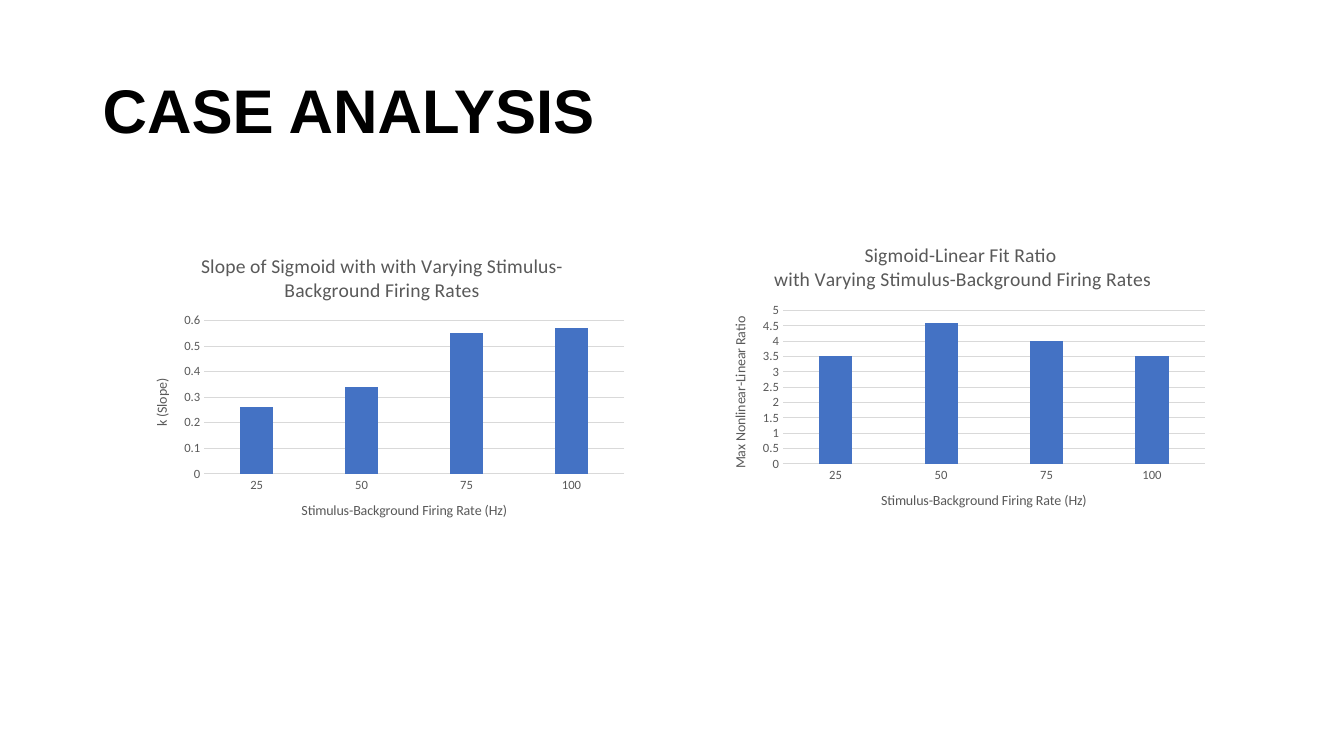
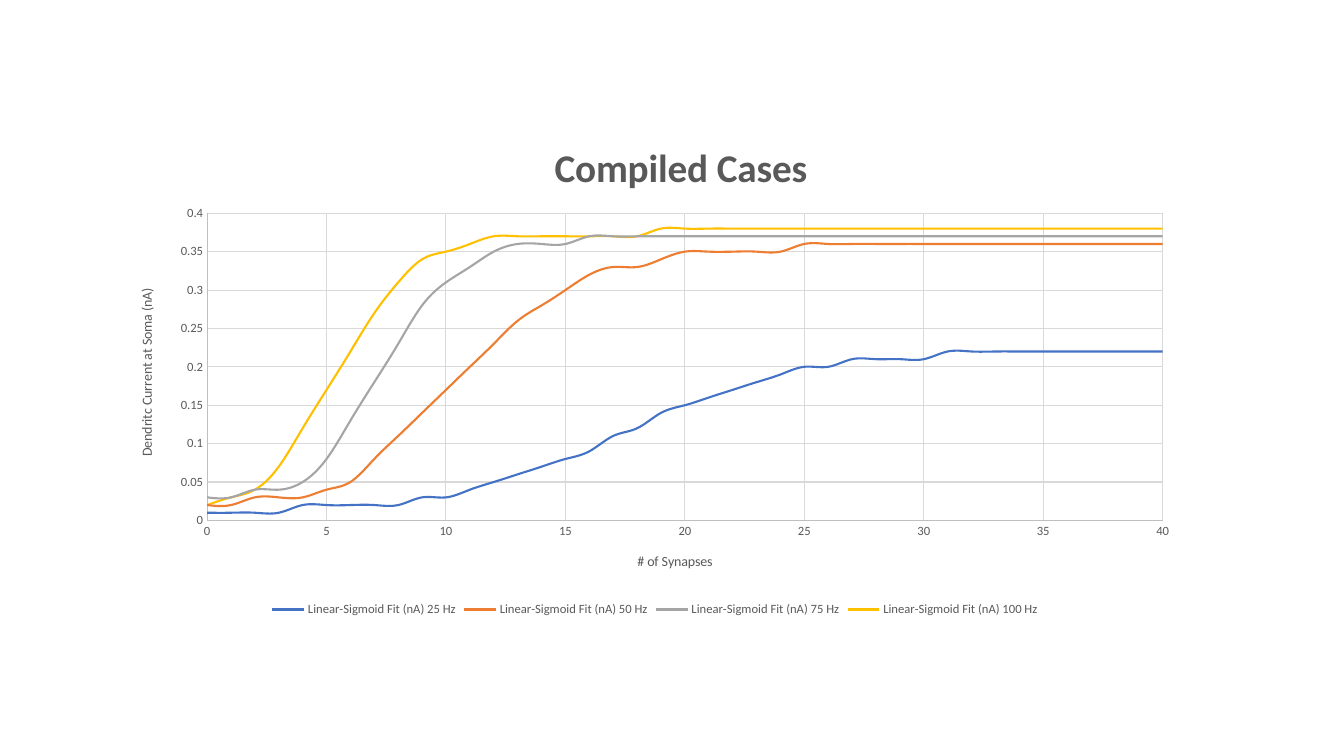
from lxml import etree
from pptx import Presentation
from pptx.chart.data import CategoryChartData, XyChartData
from pptx.dml.color import RGBColor
from pptx.enum.chart import XL_CHART_TYPE, XL_LEGEND_POSITION, XL_TICK_MARK
from pptx.enum.text import MSO_ANCHOR
from pptx.util import Inches, Pt

COLUMN = XL_CHART_TYPE.COLUMN_CLUSTERED
SCATTER = XL_CHART_TYPE.XY_SCATTER_SMOOTH_NO_MARKERS
BOTTOM = XL_LEGEND_POSITION.BOTTOM
NO_TICK = XL_TICK_MARK.NONE
MIDDLE = MSO_ANCHOR.MIDDLE

BLACK, GREY, GRID, AXIS = "000000", "595959", "D9D9D9", "BFBFBF"
BLUE, ORANGE, SILVER, GOLD = "4472C4", "ED7D31", "A5A5A5", "FFC000"
HEAD_FONT, CHART_FONT = "Arial", "Calibri"
C_NS = "http://schemas.openxmlformats.org/drawingml/2006/chart"

RATES = ["25", "50", "75", "100"]
RATE_AXIS = "Stimulus-Background Firing Rate (Hz)"
# left, top, plot left, chart title, value axis title, values, maximum, step
BARS = [
    (1.29, 2.35, 0.147,
     "Slope of Sigmoid with with Varying Stimulus-Background Firing Rates",
     "k (Slope)", [0.26, 0.34, 0.55, 0.57], 0.6, 0.1),
    (7.05, 2.25, 0.143,
     "Sigmoid-Linear Fit Ratio \nwith Varying Stimulus-Background Firing Rates",
     "Max Nonlinear-Linear Ratio", [3.5, 4.6, 4, 3.5], 5, 0.5),
]
COUNT = 41
# rate, colour, currents from 0 synapses on; the last one holds up to the end
FITS = [
    ("25", BLUE,
     [0.01, 0.01, 0.01, 0.01, 0.02, 0.02, 0.02, 0.02, 0.02, 0.03, 0.03,
      0.04, 0.05, 0.06, 0.07, 0.08, 0.09, 0.11, 0.12, 0.14, 0.15, 0.16,
      0.17, 0.18, 0.19, 0.2, 0.2, 0.21, 0.21, 0.21, 0.21, 0.22]),
    ("50", ORANGE,
     [0.02, 0.02, 0.03, 0.03, 0.03, 0.04, 0.05, 0.08, 0.11, 0.14, 0.17,
      0.2, 0.23, 0.26, 0.28, 0.3, 0.32, 0.33, 0.33, 0.34, 0.35, 0.35,
      0.35, 0.35, 0.35, 0.36]),
    ("75", SILVER,
     [0.03, 0.03, 0.04, 0.04, 0.05, 0.08, 0.13, 0.18, 0.23, 0.28, 0.31,
      0.33, 0.35, 0.36, 0.36, 0.36, 0.37]),
    ("100", GOLD,
     [0.02, 0.03, 0.04, 0.07, 0.12, 0.17, 0.22, 0.27, 0.31, 0.34, 0.35,
      0.36, 0.37, 0.37, 0.37, 0.37, 0.37, 0.37, 0.37, 0.38]),
]


def rgb(code):
    return RGBColor.from_string(code)


def style(font, size, color=GREY, bold=False, name=CHART_FONT):
    font.name, font.size, font.bold = name, Pt(size), bold
    font.color.rgb = rgb(color)


def add_head(slide, text):
    box = slide.shapes.add_textbox(Inches(0.92), Inches(0.4),
                                   Inches(7.43), Inches(1.45))
    frame = box.text_frame
    frame.word_wrap = True
    frame.vertical_anchor = MIDDLE
    para = frame.paragraphs[0]
    para.text = text
    para.line_spacing = 0.9
    style(para.font, 44, BLACK, True, HEAD_FONT)


def set_title(owner, text, size, bold=False):
    """Title a chart or an axis."""
    owner.has_title = True
    title = owner.chart_title if hasattr(owner, "chart_title") else owner.axis_title
    title.text_frame.text = text
    for para in title.text_frame.paragraphs:
        style(para.font, size, GREY, bold)


def set_axis(axis, title, line=None, grid=True, top=None, step=None):
    set_title(axis, title, 10)
    axis.major_tick_mark = axis.minor_tick_mark = NO_TICK
    style(axis.tick_labels.font, 9)
    axis.has_major_gridlines = grid
    if grid:
        edge = axis.major_gridlines.format.line
        edge.color.rgb, edge.width = rgb(GRID), Pt(0.75)
    edge = axis.format.line
    if line:
        edge.color.rgb, edge.width = rgb(line), Pt(0.75)
    else:
        edge.fill.background()
    if top is not None:
        axis.minimum_scale, axis.maximum_scale = 0, top
        axis.major_unit = step


def place(part, index, **spots):
    """Fix a chart part by hand, in fractions of the chart."""
    for old in part.findall(f"{{{C_NS}}}layout"):
        part.remove(old)
    layout = etree.Element(f"{{{C_NS}}}layout")
    manual = etree.SubElement(layout, f"{{{C_NS}}}manualLayout")
    for tag, val in spots.items():
        etree.SubElement(manual, f"{{{C_NS}}}{tag}").set("val", str(val))
    part.insert(index, layout)


def place_plot(chart, x, y, w, h):
    area = chart.plots[0]._element.getparent()
    place(area, 0, layoutTarget="inner", xMode="edge", yMode="edge",
          x=x, y=y, w=w, h=h)


def set_smooth(series):
    item = series._element
    for old in item.findall(f"{{{C_NS}}}smooth"):
        item.remove(old)
    etree.SubElement(item, f"{{{C_NS}}}smooth").set("val", "1")


def add_chart(slide, kind, data, left, top, width, height):
    chart = slide.shapes.add_chart(kind, Inches(left), Inches(top), Inches(width),
                                   Inches(height), data).chart
    style(chart.font, 10, BLACK)
    chart.has_legend = False
    chart.plots[0].vary_by_categories = False
    return chart


def add_bars(slide, left, top, inset, title, label, values, peak, step):
    data = CategoryChartData()
    data.categories = RATES
    data.add_series("Series 1", values)
    chart = add_chart(slide, COLUMN, data, left, top, 5, 3)
    set_title(chart, title, 14)
    set_axis(chart.category_axis, RATE_AXIS, GRID, grid=False)
    set_axis(chart.value_axis, label, top=peak, step=step)
    plot = chart.plots[0]
    plot.gap_width, plot.overlap = 219, -27
    fill = plot.series[0].format.fill
    fill.solid()
    fill.fore_color.rgb = rgb(BLUE)
    place_plot(chart, inset, 0.277, 0.98 - inset, 0.507)


def add_fits(slide):
    data = XyChartData()
    for rate, _, values in FITS:
        series = data.add_series(f"Linear-Sigmoid Fit (nA) {rate} Hz")
        tail = [values[-1]] * (COUNT - len(values))
        for x, y in enumerate(values + tail):
            series.add_data_point(x, y)
    chart = add_chart(slide, SCATTER, data, 1.17, 1.08, 10.65, 5.08)
    set_title(chart, "Compiled Cases", 28, True)
    place(chart.chart_title._element, 1, xMode="edge", yMode="edge",
          x=0.4, y=0.05)
    set_axis(chart.category_axis, "# of Synapses", AXIS, top=40, step=5)
    set_axis(chart.value_axis, "Dendritc Current at Soma (nA)", AXIS,
             top=0.4, step=0.05)
    for series, (_, color, _) in zip(chart.plots[0].series, FITS):
        set_smooth(series)
        edge = series.format.line
        edge.color.rgb, edge.width = rgb(color), Pt(1.5)
    chart.has_legend = True
    chart.legend.position = BOTTOM
    chart.legend.include_in_layout = False
    style(chart.legend.font, 9)
    place_plot(chart, 0.083, 0.204, 0.89, 0.6)


def main():
    deck = Presentation()
    deck.slide_width, deck.slide_height = Inches(13.33), Inches(7.5)
    blank = deck.slide_layouts[6]

    cases = deck.slides.add_slide(blank)
    add_head(cases, "CASE ANALYSIS")
    for bars in BARS:
        add_bars(cases, *bars)

    add_fits(deck.slides.add_slide(blank))
    deck.save("out.pptx")


if __name__ == "__main__":
    main()
